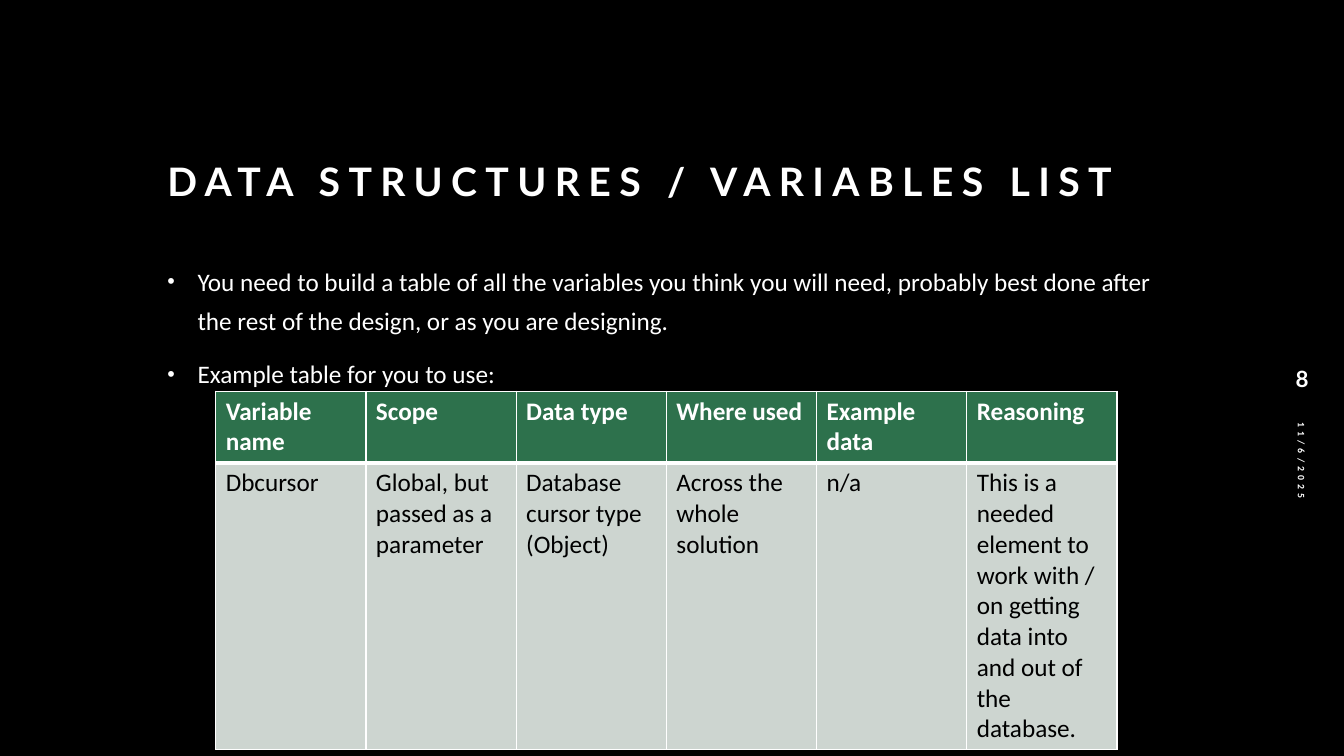
import pptx
import pptx.dml.color
import pptx.enum.text
import pptx.oxml
import pptx.oxml.ns
import pptx.util

# Content
TITLE = "DATA STRUCTURES / VARIABLES LIST"
ADVICE = [
    "You need to build a table of all the variables you think you will need, "
    "probably best done after the rest of the design, or as you are designing.",
    "Example table for you to use:",
]
VARIABLES = [
    ["Variable name", "Scope", "Data type", "Where used", "Example data", "Reasoning"],
    ["Dbcursor", "Global, but passed as a parameter", "Database cursor type (Object)",
     "Across the whole solution", "n/a",
     "This is a needed element to work with / on getting data into and out of the database."],
]
DATE, NUMBER = "11/6/2025", "8"

# Places as percent of slide width and height: left, top, width, height
WIDTH, HEIGHT = pptx.util.Inches(13.33), pptx.util.Inches(7.5)
PLACES = {
    "title": (11.7, 15.2, 75.77, 12.53),
    "advice": (11.7, 33.33, 75.77, 55.6),
    "date": (85.9, 71.33, 21.9, 5.33),
    "number": (94.3, 46.93, 5.18, 6.27),
    "variables": (16.05, 51.73, 67.07, 10.94),
}
WHITE, BLACK, GREEN, PALE = "FFFFFF", "000000", "2D714C", "CDD5D0"
ALIGN = pptx.enum.text.PP_ALIGN
ANCHOR = pptx.enum.text.MSO_ANCHOR


def color(value):
    return pptx.dml.color.RGBColor.from_string(value)


def place(name):
    return [int(share * full / 100)
            for share, full in zip(PLACES[name], (WIDTH, HEIGHT) * 2)]


def move(shape, name):
    shape.left, shape.top, shape.width, shape.height = place(name)


def xml(tag, content="", **attributes):
    listed = " ".join(f'{key}="{value}"' for key, value in attributes.items())
    return pptx.oxml.parse_xml(
        f'<a:{tag} {pptx.oxml.ns.nsdecls("a")} {listed}>{content}</a:{tag}>')


def write(paragraph, text, size=18, font="Calibri", ink=WHITE, bold=False,
          align=ALIGN.LEFT, line=1.0, before=0, spacing=0):
    paragraph.alignment = align
    paragraph.line_spacing = line
    paragraph.space_before = pptx.util.Pt(before)
    run = paragraph.add_run()
    run.text = text
    run.font.size, run.font.name, run.font.bold = pptx.util.Pt(size), font, bold
    run.font.color.rgb = color(ink)
    if spacing:
        run.font._element.set("spc", str(spacing * 100))


def set_frame(frame, anchor):
    frame.word_wrap = True
    frame.auto_size = pptx.enum.text.MSO_AUTO_SIZE.NONE
    frame.vertical_anchor = anchor


def label(name, text, **style):
    box = slide.shapes.add_textbox(*place(name))
    set_frame(box.text_frame, ANCHOR.MIDDLE)
    write(box.text_frame.paragraphs[0], text, bold=True, **style)
    return box


def set_borders(cell, bottom):
    points = {"lnL": 1, "lnR": 1, "lnT": 1, "lnB": bottom}
    line_fill = f'<a:solidFill><a:srgbClr val="{WHITE}"/></a:solidFill>'
    for position, (side, width) in enumerate(points.items()):
        cell._tc.get_or_add_tcPr().insert(
            position, xml(side, line_fill, w=pptx.util.Pt(width)))


# Slide
deck = pptx.Presentation()
deck.slide_width, deck.slide_height = WIDTH, HEIGHT
slide = deck.slides.add_slide(deck.slide_layouts[1])
slide.background.fill.solid()
slide.background.fill.fore_color.rgb = color(BLACK)

# Title
title = slide.shapes.title
move(title, "title")
set_frame(title.text_frame, ANCHOR.BOTTOM)
write(title.text_frame.paragraphs[0], TITLE, size=28, font="Lato", bold=True,
      line=1.2, spacing=6)

# Bulleted advice
advice = slide.placeholders[1]
move(advice, "advice")
set_frame(advice.text_frame, ANCHOR.TOP)
indent = pptx.util.Inches(0.3)
for index, point in enumerate(ADVICE):
    paragraph = (advice.text_frame.add_paragraph() if index
                 else advice.text_frame.paragraphs[0])
    write(paragraph, point, line=1.3, before=10)
    properties = paragraph._p.get_or_add_pPr()
    properties.set("marL", str(indent))
    properties.set("indent", str(-indent))
    properties.append(xml("buSzPct", val=85000))
    properties.append(xml("buFont", typeface="Arial"))
    properties.append(xml("buChar", char="•"))

# Date and slide number
label("date", DATE, size=7, spacing=3).rotation = 90
label("number", NUMBER, size=16, font="Lato", align=ALIGN.CENTER)

# Variables table
variables = slide.shapes.add_table(
    len(VARIABLES), len(VARIABLES[0]), *place("variables")).table
for row, entries in enumerate(VARIABLES):
    header = row == 0
    for column, entry in enumerate(entries):
        cell = variables.cell(row, column)
        cell.fill.solid()
        cell.fill.fore_color.rgb = color(GREEN if header else PALE)
        set_borders(cell, bottom=3 if header else 1)
        write(cell.text_frame.paragraphs[0], entry, bold=header,
              ink=WHITE if header else BLACK)

deck.save("out.pptx")
